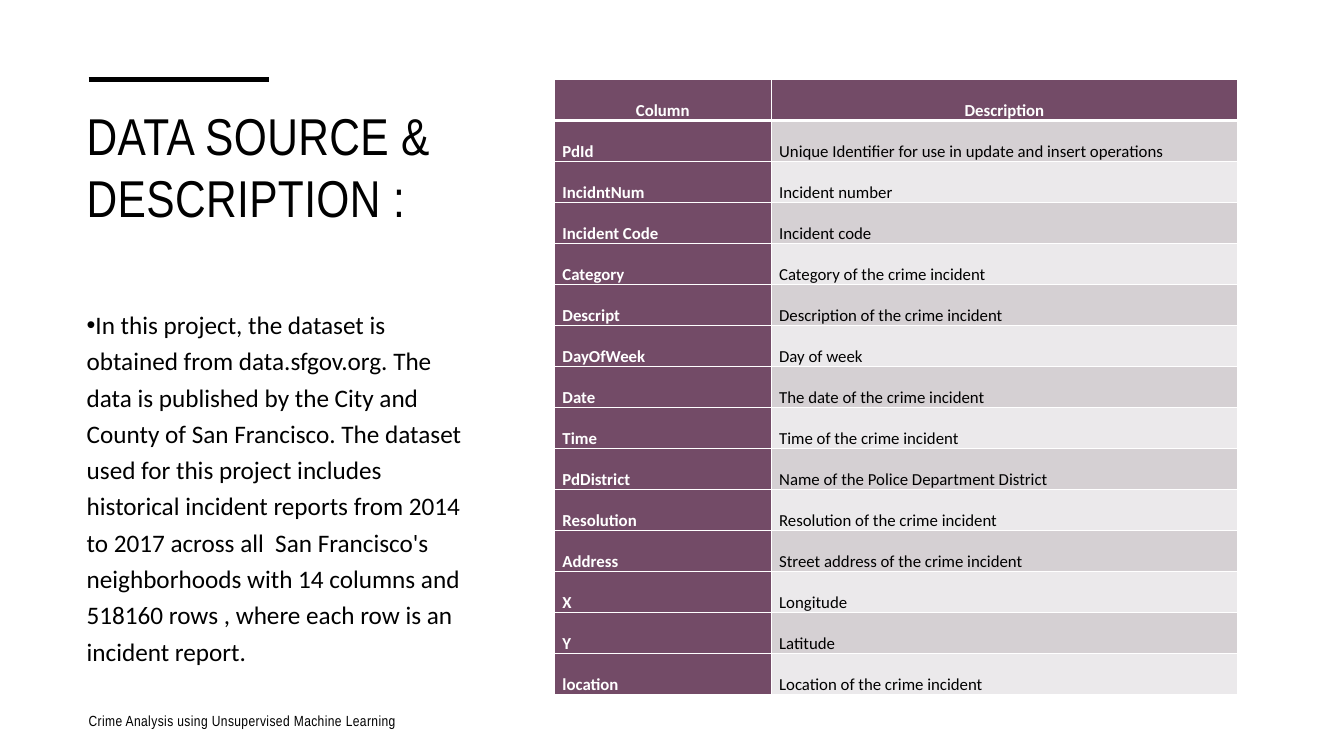
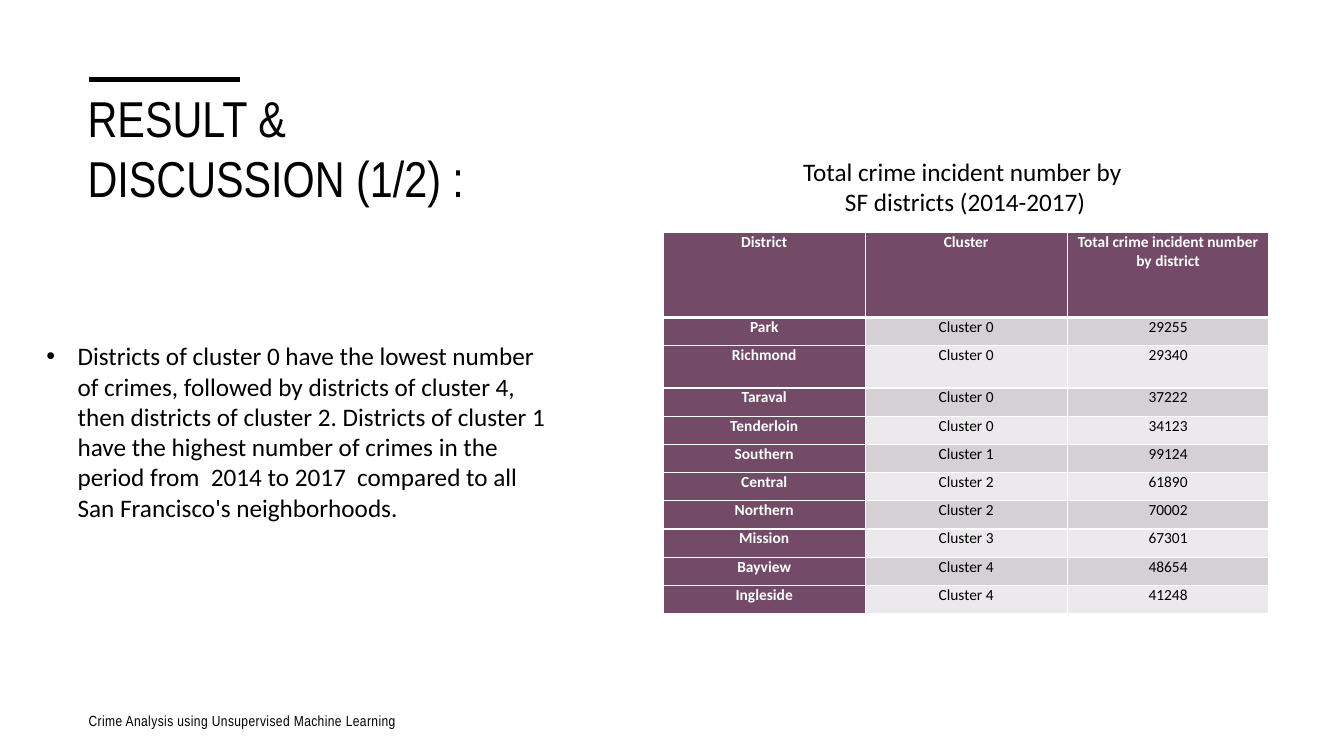
from dataclasses import dataclass
from typing import Any, Optional

from lxml.etree import SubElement
from pptx import Presentation
from pptx.dml.color import RGBColor
from pptx.enum.shapes import MSO_CONNECTOR
from pptx.enum.text import MSO_ANCHOR, MSO_AUTO_SIZE, PP_ALIGN
from pptx.oxml.ns import qn
from pptx.slide import Slide
from pptx.text.text import TextFrame
from pptx.util import Inches, Pt

GRID_COLUMNS, GRID_ROWS = 160, 90
FOOTER = "Crime Analysis using Unsupervised Machine Learning"


@dataclass(frozen=True)
class Theme:
    """Colours, fonts and type sizes shared by the slides."""
    ink: str = "000000"
    paper: str = "FFFFFF"
    plum: str = "734B67"
    bands: tuple[str, str] = ("D5D0D3", "EBE9EB")
    heading_font: str = "Arial Narrow"
    body_font: str = "Calibri"
    body_size: float = 18
    footer_size: float = 10.5
    bar_width: float = 3.5
    border: float = 1
    header_border: float = 3


@dataclass(frozen=True)
class Area:
    """A rectangle in grid columns and rows."""
    left: float
    top: float
    width: float
    height: float


@dataclass(frozen=True)
class TextStyle:
    """Character and paragraph formats of one text."""
    font: str
    size: float
    color: str
    bold: bool = False
    tracking: float = 0
    align: PP_ALIGN = PP_ALIGN.LEFT
    line_spacing: float = 1.0
    space_after: float = 0


@dataclass(frozen=True)
class Bullet:
    """Left margin and first-line indent of a bulleted text, in inches."""
    margin: float
    indent: float


@dataclass(frozen=True)
class TableSpec:
    """Contents and formats of one table."""
    area: Area
    columns: tuple[float, ...]
    row_heights: tuple[float, ...]
    cells: list[tuple[str, ...]]
    size: float
    inset: float
    body_align: PP_ALIGN
    line_spacing: float = 1.0


@dataclass(frozen=True)
class SlideSpec:
    """Everything that differs between the slides."""
    title: str
    title_area: Area
    title_style: TextStyle
    bar_length: float
    body: str
    body_area: Area
    body_style: TextStyle
    bullet: Bullet
    table: TableSpec
    caption: Optional[str] = None


THEME = Theme()
BAR_LEFT, BAR_TOP = 10.56, 9.48
FOOTER_AREA = Area(9.36, 83.4, 59.52, 4.8)
CAPTION_AREA = Area(92.88, 18, 44.04, 8.52)
FOOTER_STYLE = TextStyle(THEME.heading_font, THEME.footer_size, THEME.ink, tracking=0.3, space_after=6)
CAPTION_STYLE = TextStyle(THEME.body_font, THEME.body_size, THEME.ink, align=PP_ALIGN.CENTER)

COLUMN_ROWS = [
    ("Column", "Description"),
    ("PdId", "Unique Identifier for use in update and insert operations"),
    ("IncidntNum", "Incident number"),
    ("Incident Code", "Incident code"),
    ("Category", "Category of the crime incident"),
    ("Descript", "Description of the crime incident"),
    ("DayOfWeek", "Day of week"),
    ("Date", "The date of the crime incident"),
    ("Time", "Time of the crime incident"),
    ("PdDistrict", "Name of the Police Department District"),
    ("Resolution", "Resolution of the crime incident"),
    ("Address", "Street address of the crime incident"),
    ("X", "Longitude"),
    ("Y", "Latitude"),
    ("location", "Location of the crime incident"),
]
DISTRICT_ROWS = [
    ("District", "Cluster", "Total crime incident number by district"),
    ("Park", "Cluster 0", "29255"),
    ("Richmond", "Cluster 0", "29340"),
    ("Taraval", "Cluster 0", "37222"),
    ("Tenderloin", "Cluster 0", "34123"),
    ("Southern", "Cluster 1", "99124"),
    ("Central", "Cluster 2", "61890"),
    ("Northern", "Cluster 2", "70002"),
    ("Mission", "Cluster 3", "67301"),
    ("Bayview", "Cluster 4", "48654"),
    ("Ingleside", "Cluster 4", "41248"),
]
SLIDES = [
    SlideSpec(
        title="DATA SOURCE & DESCRIPTION :",
        title_area=Area(9.12, 11.76, 47.76, 20.64),
        title_style=TextStyle(THEME.heading_font, 37, THEME.ink, tracking=0.3),
        bar_length=21.48,
        body="In this project, the dataset is obtained from data.sfgov.org. The data is published by "
             "the City and County of San Francisco. The dataset used for this project includes "
             "historical incident reports from 2014 to 2017 across all  San Francisco's neighborhoods "
             "with 14 columns and 518160 rows , where each row is an incident report.",
        body_area=Area(9.12, 35.52, 47.04, 45.96),
        body_style=TextStyle(THEME.body_font, THEME.body_size, THEME.ink, line_spacing=1.2, space_after=6),
        bullet=Bullet(0, -0.25),
        table=TableSpec(Area(66, 9.48, 81.36, 71.04), (25.8, 55.56), (4.74,) * len(COLUMN_ROWS),
                        COLUMN_ROWS, 12, 0.08, PP_ALIGN.JUSTIFY, 2.0),
    ),
    SlideSpec(
        title="RESULT &\nDISCUSSION (1/2) :",
        title_area=Area(9.24, 9.72, 74.4, 15.72),
        title_style=TextStyle(THEME.heading_font, 36, THEME.ink),
        bar_length=18,
        body="Districts of cluster 0 have the lowest number of crimes, followed by districts of "
             "cluster 4, then districts of cluster 2. Districts of cluster 1 have the highest number "
             "of crimes in the period from  2014 to 2017  compared to all San Francisco's neighborhoods.",
        body_area=Area(4.32, 39.96, 62.4, 23.04),
        body_style=TextStyle(THEME.body_font, THEME.body_size, THEME.ink),
        bullet=Bullet(0.31, -0.31),
        table=TableSpec(Area(78.96, 27.72, 72.12, 45.36), (24.04,) * 3,
                        (10.08, 3.36, 5.04) + (3.36,) * 8,
                        DISTRICT_ROWS, 11, 0.07, PP_ALIGN.CENTER),
        caption="Total crime incident number by \vSF districts (2014-2017)",
    ),
]


def across(columns: float) -> int:
    """Length of a number of grid columns."""
    return round(Inches(13.33) * columns / GRID_COLUMNS)


def down(rows: float) -> int:
    """Length of a number of grid rows."""
    return round(Inches(7.5) * rows / GRID_ROWS)


def box(area: Area) -> dict[str, int]:
    """Left, top, width and height of an area."""
    return {"left": across(area.left), "top": down(area.top),
            "width": across(area.width), "height": down(area.height)}


def apply(target: Any, formats: dict[str, Any]) -> None:
    """Set each format value as an attribute."""
    for name, value in formats.items():
        setattr(target, name, value)


def write(frame: TextFrame, text: str, style: TextStyle, bullet: Optional[Bullet] = None) -> None:
    """Fill a text frame and format its paragraphs and runs."""
    frame.text = text
    for paragraph in frame.paragraphs:
        apply(paragraph, {"alignment": style.align, "line_spacing": style.line_spacing,
                          "space_before": Pt(0), "space_after": Pt(style.space_after)})
        if bullet:
            properties = paragraph._p.get_or_add_pPr()
            properties.set("marL", str(Inches(bullet.margin)))
            properties.set("indent", str(Inches(bullet.indent)))
            SubElement(properties, qn("a:buChar"), char="•")
        for run in paragraph.runs:
            apply(run.font, {"name": style.font, "size": Pt(style.size), "bold": style.bold})
            run.font.color.rgb = RGBColor.from_string(style.color)
            if style.tracking:
                run._r.get_or_add_rPr().set("spc", str(round(style.tracking * 100)))


def place_text(shape: Any, area: Area, text: str, style: TextStyle,
               anchor: MSO_ANCHOR = MSO_ANCHOR.TOP, bullet: Optional[Bullet] = None) -> None:
    """Move a text shape to its area and write in it."""
    apply(shape, box(area))
    apply(shape.text_frame, {"word_wrap": True, "auto_size": MSO_AUTO_SIZE.NONE, "vertical_anchor": anchor})
    write(shape.text_frame, text, style, bullet)


def add_text(slide: Slide, area: Area, text: str, style: TextStyle,
             anchor: MSO_ANCHOR = MSO_ANCHOR.TOP) -> None:
    """Add a text box."""
    place_text(slide.shapes.add_textbox(**box(area)), area, text, style, anchor)


def add_bar(slide: Slide, length: float) -> None:
    """Draw the heavy bar above the title."""
    bar = slide.shapes.add_connector(MSO_CONNECTOR.STRAIGHT, across(BAR_LEFT), down(BAR_TOP),
                                     across(BAR_LEFT + length), down(BAR_TOP))
    bar.line.width = Pt(THEME.bar_width)
    bar.line.color.rgb = RGBColor.from_string(THEME.ink)
    SubElement(bar._element.spPr, qn("a:effectLst"))


def add_borders(cell: Any, row: int) -> None:
    """Draw white cell borders, heavier below the header row."""
    heavy = {(0, "lnB"), (1, "lnT")}
    properties = cell._tc.get_or_add_tcPr()
    for side in ("lnL", "lnR", "lnT", "lnB"):
        width = THEME.header_border if (row, side) in heavy else THEME.border
        line = SubElement(properties, qn(f"a:{side}"), w=str(Pt(width)))
        SubElement(SubElement(line, qn("a:solidFill")), qn("a:srgbClr"), val=THEME.paper)


def add_data_table(slide: Slide, spec: TableSpec) -> None:
    """Add a table with plum header row and first column, and banded cells."""
    table = slide.shapes.add_table(len(spec.cells), len(spec.columns), **box(spec.area)).table
    for column, width in zip(table.columns, spec.columns):
        column.width = across(width)
    for row, height in zip(table.rows, spec.row_heights):
        row.height = down(height)
    for row, texts in enumerate(spec.cells):
        for column, text in enumerate(texts):
            cell = table.cell(row, column)
            heading = row == 0 or column == 0
            apply(cell, {"margin_left": Inches(spec.inset), "margin_right": Inches(spec.inset),
                         "margin_top": 0, "margin_bottom": 0})
            add_borders(cell, row)
            cell.fill.solid()
            cell.fill.fore_color.rgb = RGBColor.from_string(
                THEME.plum if heading else THEME.bands[(row - 1) % 2])
            write(cell.text_frame, text, TextStyle(
                THEME.body_font, spec.size, THEME.paper if heading else THEME.ink, heading,
                align=PP_ALIGN.CENTER if row == 0 else spec.body_align, line_spacing=spec.line_spacing))


def add_slide(presentation: Any, spec: SlideSpec) -> None:
    """Build one slide from its description."""
    slide = presentation.slides.add_slide(presentation.slide_layouts.get_by_name("Title and Content"))
    place_text(slide.shapes.title, spec.title_area, spec.title, spec.title_style)
    place_text(slide.placeholders[1], spec.body_area, spec.body, spec.body_style, bullet=spec.bullet)
    add_bar(slide, spec.bar_length)
    add_text(slide, FOOTER_AREA, FOOTER, FOOTER_STYLE, MSO_ANCHOR.MIDDLE)
    if spec.caption:
        add_text(slide, CAPTION_AREA, spec.caption, CAPTION_STYLE)
    add_data_table(slide, spec.table)


def main() -> None:
    """Build and save the presentation."""
    presentation = Presentation()
    apply(presentation, {"slide_width": Inches(13.33), "slide_height": Inches(7.5)})
    for spec in SLIDES:
        add_slide(presentation, spec)
    presentation.save("out.pptx")


main()
